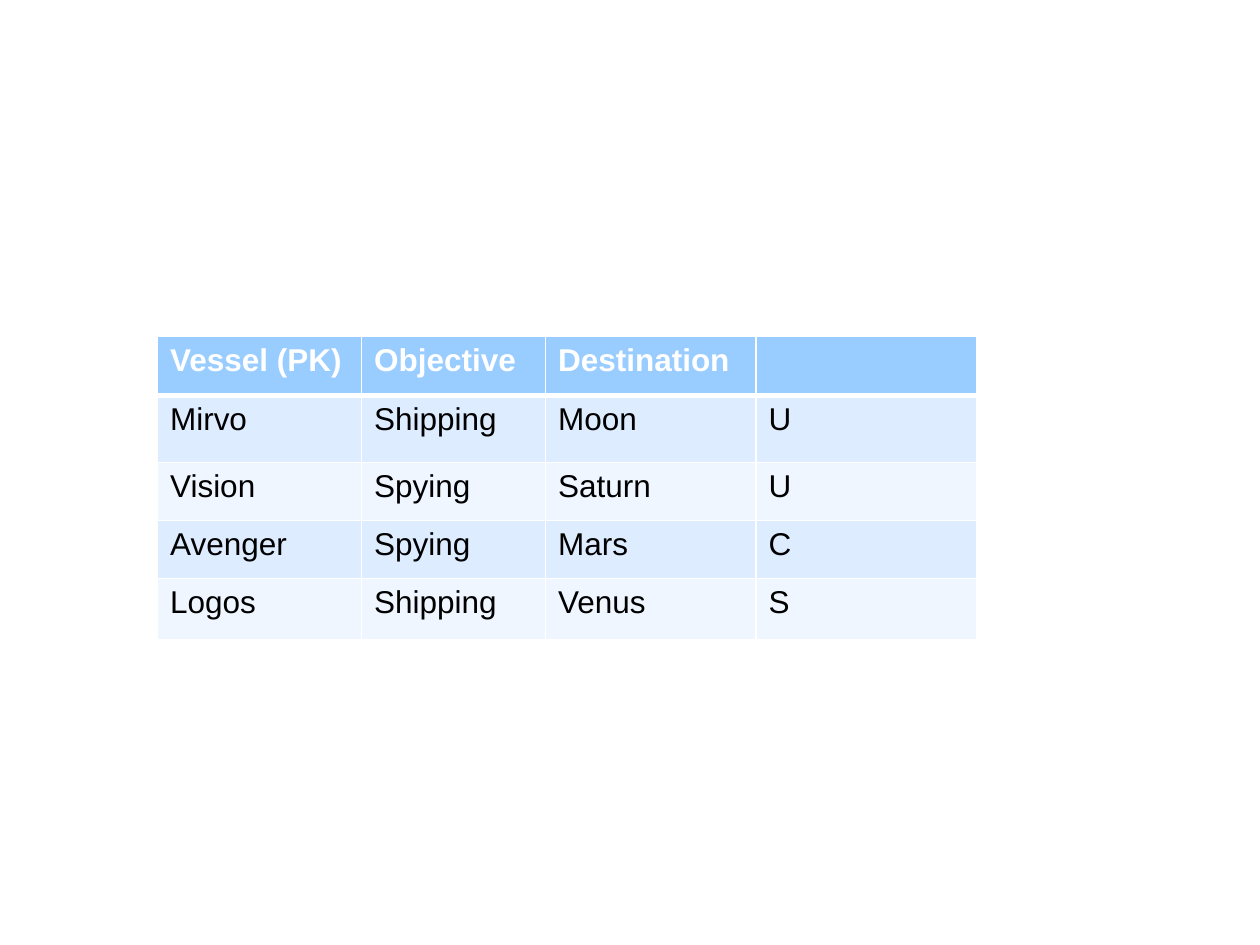
from lxml.etree import SubElement as Sub
from pptx import Presentation
from pptx.dml.color import RGBColor as RGB
from pptx.oxml.ns import qn
from pptx.util import Inches, Pt

WHITE = RGB(0xFF, 0xFF, 0xFF)
BLACK = RGB(0x00, 0x00, 0x00)
BLUE = RGB(0x99, 0xCC, 0xFF)
PALE = RGB(0xDE, 0xEC, 0xFF)
LIGHT = RGB(0xEF, 0xF6, 0xFF)

WIDTHS = [1.62, 1.46, 1.67, 1.75]
HEIGHTS = [0.47, 0.53, 0.46, 0.46, 0.49]
ROWS = [
    ["Vessel (PK)", "Objective", "Destination", ""],
    ["Mirvo", "Shipping", "Moon", "U"],
    ["Vision", "Spying", "Saturn", "U"],
    ["Avenger", "Spying", "Mars", "C"],
    ["Logos", "Shipping", "Venus", "S"],
]


class Deck:
    font = "Arial"
    size = Pt(18)

    def __init__(self, slide):
        self.slide = slide

    def edge(self, cell, side, width):
        """Draw one white cell border."""
        line = Sub(cell._tc.get_or_add_tcPr(), qn("a:" + side), w=str(Pt(width)))
        fill = Sub(line, qn("a:solidFill"))
        Sub(fill, qn("a:srgbClr"), val=str(WHITE))

    def cell(self, cell, text, back, color, bold, top, base):
        """Set the borders, fill and text of one cell."""
        for side, width in (("lnL", 1), ("lnR", 1), ("lnT", top), ("lnB", base)):
            self.edge(cell, side, width)
        cell.fill.solid()
        cell.fill.fore_color.rgb = back
        para = cell.text_frame.paragraphs[0]
        para.font.size = self.size
        if text:
            run = para.add_run()
            run.text = text
            font = run.font
            font.name, font.size, font.bold = self.font, self.size, bold
            font.color.rgb = color

    def table(self, left, top, widths, heights, rows):
        """Add a table with a header row and banded body rows."""
        frame = self.slide.shapes.add_table(
            len(rows), len(widths), Inches(left), Inches(top),
            Inches(sum(widths)), Inches(sum(heights)))
        grid = frame.table
        for col, width in zip(grid.columns, widths):
            col.width = Inches(width)
        for r, (row, height) in enumerate(zip(rows, heights)):
            grid.rows[r].height = Inches(height)
            head = r == 0
            back = BLUE if head else PALE if r % 2 else LIGHT
            color = WHITE if head else BLACK
            for c, text in enumerate(row):
                self.cell(grid.cell(r, c), text, back, color, head,
                          3 if r == 1 else 1, 3 if head else 1)


# Slide
prs = Presentation()
prs.slide_width, prs.slide_height = Inches(10), Inches(7.5)
deck = Deck(prs.slides.add_slide(prs.slide_layouts[6]))

# Vessel table
deck.table(1.25, 2.67, WIDTHS, HEIGHTS, ROWS)

prs.save("out.pptx")
